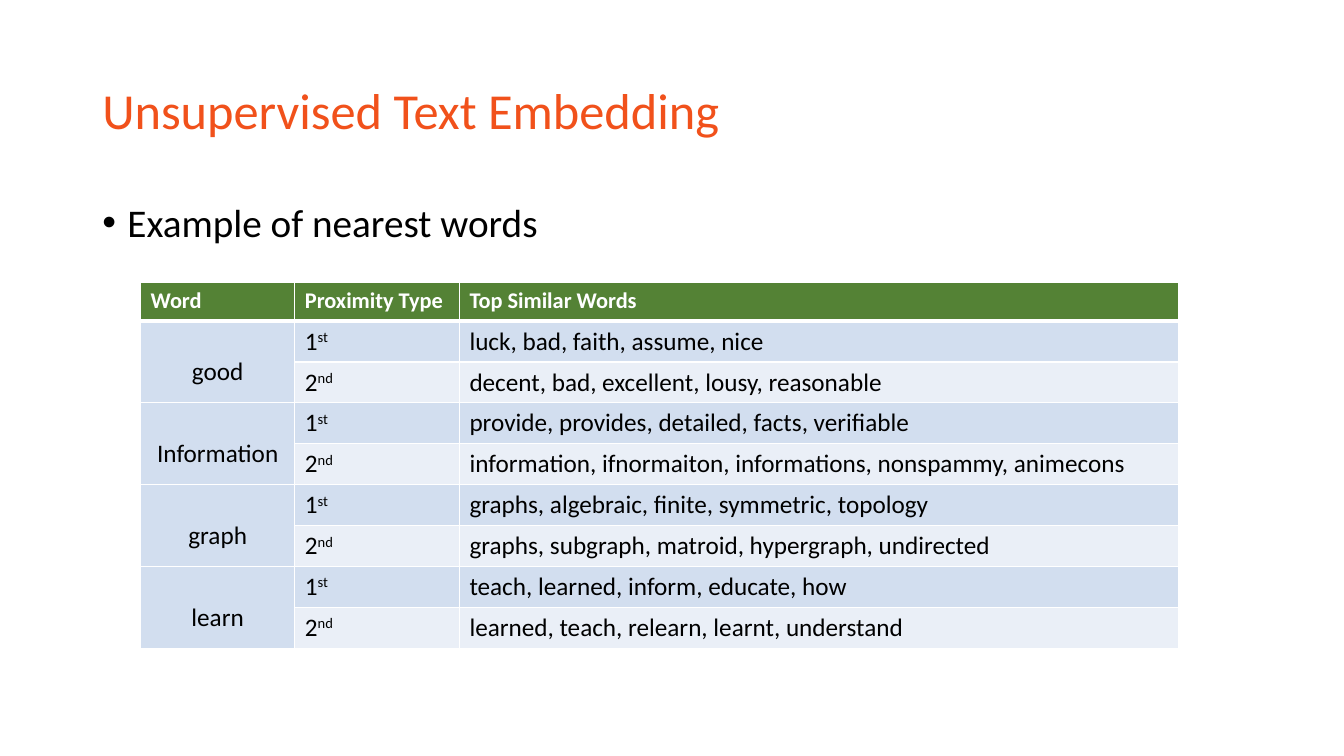
"""Build the slide on unsupervised text embedding with its table of nearest words."""
from lxml.etree import SubElement
from pptx import Presentation
from pptx.dml.color import RGBColor
from pptx.enum.text import MSO_ANCHOR, PP_ALIGN
from pptx.oxml.ns import qn
from pptx.util import Pt

COLORS = {
    "title": "F1511B",
    "text": "000000",
    "white": "FFFFFF",
    "header": "548235",
    "first": "D2DEEF",
    "second": "EAEFF7",
}
HEADINGS = ["Word", "Proximity Type", "Top Similar Words"]
NEAREST_WORDS = [
    ("good", "luck, bad, faith, assume, nice",
     "decent, bad, excellent, lousy, reasonable"),
    ("Information", "provide, provides, detailed, facts, verifiable",
     "information, ifnormaiton, informations, nonspammy, animecons"),
    ("graph", "graphs, algebraic, finite, symmetric, topology",
     "graphs, subgraph, matroid, hypergraph, undirected"),
    ("learn", "teach, learned, inform, educate, how",
     "learned, teach, relearn, learnt, understand"),
]
ORDERS = [("1", "st", "first"), ("2", "nd", "second")]
COLUMN_WIDTHS = [110.2, 117.6, 514]
HEADER_HEIGHT, ROW_HEIGHT = 28, 29.2


def add_run(paragraph, text, size, color, bold=False):
    run = paragraph.add_run()
    run.text = text
    run.font.name = "Calibri"
    run.font.size = Pt(size)
    run.font.bold = bold
    run.font.color.rgb = RGBColor.from_string(COLORS[color])
    return run


def style_cell(cell, fill, top=1, bottom=1):
    properties = cell._tc.get_or_add_tcPr()
    for side, width in (("L", 1), ("R", 1), ("T", top), ("B", bottom)):
        line = SubElement(properties, qn(f"a:ln{side}"), w=str(Pt(width)))
        solid = SubElement(line, qn("a:solidFill"))
        SubElement(solid, qn("a:srgbClr"), val=COLORS["white"])
    cell.fill.solid()
    cell.fill.fore_color.rgb = RGBColor.from_string(COLORS[fill])


presentation = Presentation()
presentation.slide_width, presentation.slide_height = Pt(960), Pt(540)
slide = presentation.slides.add_slide(presentation.slide_layouts[6])

title = slide.shapes.add_textbox(Pt(66), Pt(28.8), Pt(828), Pt(104.4)).text_frame
title.word_wrap = True
title.vertical_anchor = MSO_ANCHOR.MIDDLE
title.paragraphs[0].line_spacing = 0.9
add_run(title.paragraphs[0], "Unsupervised Text Embedding", 36, "title")

body = slide.shapes.add_textbox(Pt(66), Pt(141.8), Pt(828), Pt(59.8)).text_frame
body.word_wrap = True
bullet_paragraph = body.paragraphs[0]
bullet_paragraph.line_spacing = 0.9
bullet_properties = bullet_paragraph._p.get_or_add_pPr()
bullet_properties.set("marL", str(Pt(18)))
bullet_properties.set("indent", str(Pt(-18)))
SubElement(bullet_properties, qn("a:buFont"), typeface="Arial")
SubElement(bullet_properties, qn("a:buChar"), char="•")
add_run(bullet_paragraph, "Example of nearest words", 28, "text")

row_count = 1 + len(ORDERS) * len(NEAREST_WORDS)
table = slide.shapes.add_table(
    row_count, len(HEADINGS), Pt(100.4), Pt(201.4), Pt(sum(COLUMN_WIDTHS)),
    Pt(HEADER_HEIGHT + ROW_HEIGHT * (row_count - 1)),
).table
for column, width in zip(table.columns, COLUMN_WIDTHS):
    column.width = Pt(width)
for index, row in enumerate(table.rows):
    row.height = Pt(ROW_HEIGHT if index else HEADER_HEIGHT)

for column_index, heading in enumerate(HEADINGS):
    cell = table.cell(0, column_index)
    style_cell(cell, "header", bottom=3)
    add_run(cell.text_frame.paragraphs[0], heading, 16, "white", bold=True)

for group, (word, *similar_words) in enumerate(NEAREST_WORDS):
    first_row = 1 + group * len(ORDERS)
    for offset, (number, suffix, fill) in enumerate(ORDERS):
        row_index = first_row + offset
        word_cell, order_cell, similar_cell = table.rows[row_index].cells
        top = 3 if row_index == 1 else 1
        style_cell(word_cell, "first", top)
        style_cell(order_cell, fill, top)
        style_cell(similar_cell, fill, top)
        order_paragraph = order_cell.text_frame.paragraphs[0]
        add_run(order_paragraph, number, 18, "text")
        ordinal = add_run(order_paragraph, suffix, 18, "text")
        ordinal.font._element.set("baseline", "30000")
        add_run(similar_cell.text_frame.paragraphs[0], similar_words[offset], 18, "text")
    word_cell = table.cell(first_row, 0)
    word_cell.merge(table.cell(first_row + len(ORDERS) - 1, 0))
    word_cell.margin_top = Pt(25.6)
    word_paragraph = word_cell.text_frame.paragraphs[0]
    word_paragraph.alignment = PP_ALIGN.CENTER
    add_run(word_paragraph, word, 18, "text")

presentation.save("out.pptx")
